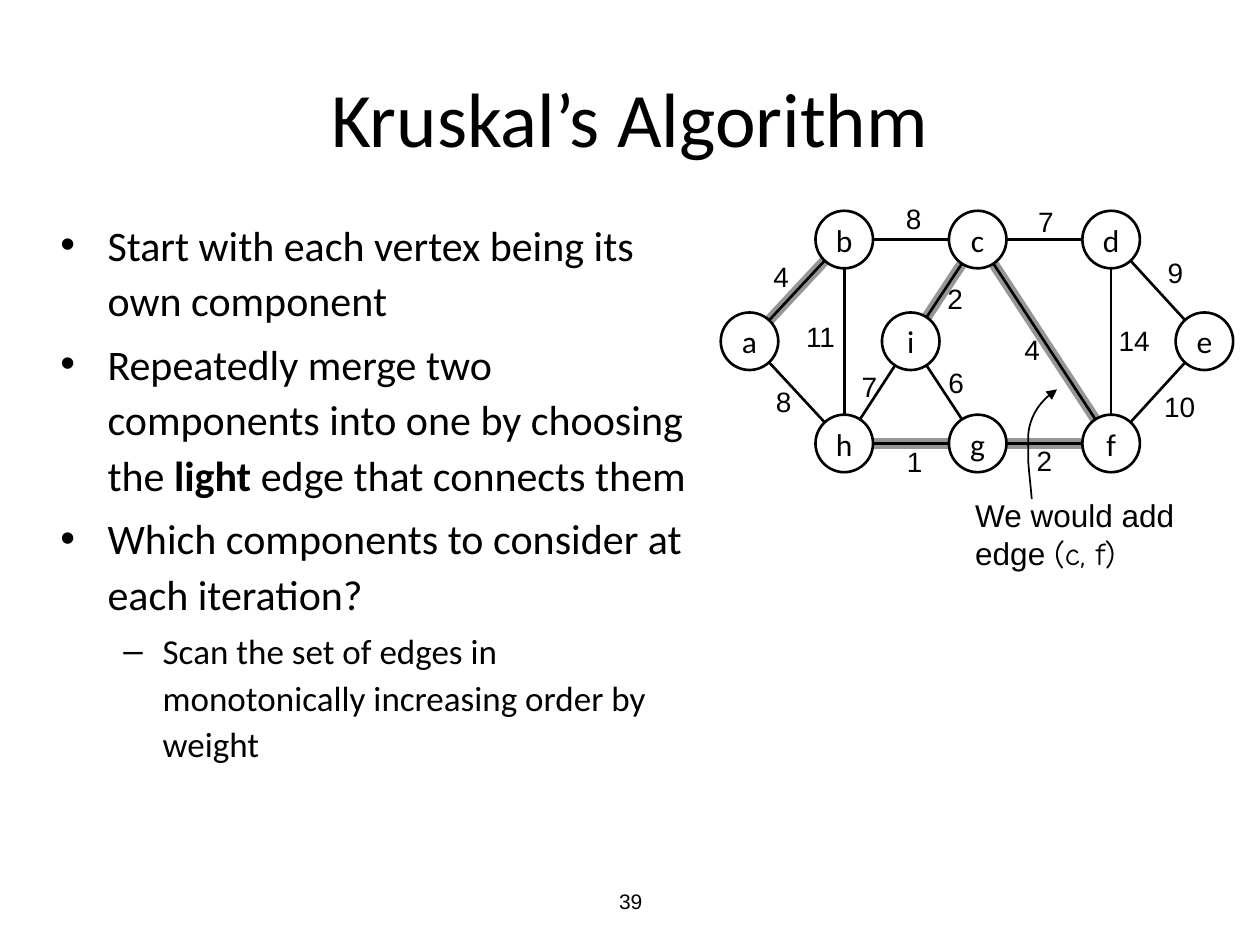
from math import hypot

from lxml.etree import SubElement
from pptx import Presentation
from pptx.dml.color import RGBColor
from pptx.enum.shapes import MSO_CONNECTOR, MSO_SHAPE
from pptx.enum.text import MSO_ANCHOR, PP_ALIGN
from pptx.oxml.ns import qn
from pptx.util import Cm, Pt

BLACK = RGBColor(0, 0, 0)
GREY = RGBColor(0x96, 0x96, 0x96)

# Vertex centres, in cm
RADIUS = 0.58
TOP, MIDDLE, BOTTOM = 4.83, 6.88, 8.94
VERTICES = {
    "a": (15.11, MIDDLE), "b": (17.02, TOP), "c": (19.71, TOP),
    "d": (22.4, TOP), "e": (24.28, MIDDLE), "h": (17.02, BOTTOM),
    "g": (19.71, BOTTOM), "f": (22.4, BOTTOM), "i": (18.36, MIDDLE),
}

# Edge: weight, left and top of its label in cm
EDGES = {
    "ab": ("4", 15.34, 5.11), "bc": ("8", 18.01, 3.94),
    "cd": ("7", 20.68, 3.99), "ah": ("8", 15.39, 7.62),
    "bh": ("11", 16, 6.32), "hg": ("1", 18.03, 8.84),
    "gf": ("2", 20.65, 8.81), "hi": ("7", 17.12, 7.32),
    "ci": ("2", 18.85, 5.56), "cf": ("4", 20.4, 6.58),
    "df": ("14", 22.3, 6.4), "de": ("9", 23.29, 5.03),
    "ef": ("10", 23.22, 7.72), "ig": ("6", 18.87, 7.24),
}
CHOSEN_EDGES = ("cf", "ab", "hg", "gf", "ci")

# Bézier pieces of the callout arrow, in cm
ARROW_CURVES = [
    ((20.8, 10.06), (20.78, 9.8), (20.75, 9.58), (20.73, 9.32)),
    ((20.73, 9.32), (20.73, 9.14), (20.73, 8.94), (20.73, 8.76)),
    ((20.73, 8.76), (20.75, 8.53), (20.85, 8.15), (21.31, 7.85)),
]

# Bullets: level, runs of (text, bold)
BULLETS = [
    (0, [("Start with each vertex being its own component", False)]),
    (0, [("Repeatedly merge two components into one by choosing the ", False),
         ("light", True), (" edge that connects them", False)]),
    (0, [("Which components to consider at each iteration?", False)]),
    (1, [("Scan the set of edges in monotonically increasing order by weight",
          False)]),
]
# Level: size, left margin in cm, hanging indent in cm, bullet sign
LEVELS = [(24, 0.95, 0.95, "•"), (20, 2.06, 0.79, "–")]


def add_run(paragraph, text, size, font, bold=False):
    run = paragraph.add_run()
    run.text = text
    run.font.size = Pt(size)
    run.font.name = font
    run.font.bold = bold
    run.font.color.rgb = BLACK


def add_text(slide, left, top, width, height, lines, size, font="Arial",
             align=PP_ALIGN.LEFT, anchor=MSO_ANCHOR.TOP, wrap=False):
    """Add a text box; each line is a list of runs (text, font)."""
    box = slide.shapes.add_textbox(Cm(left), Cm(top), Cm(width), Cm(height))
    frame = box.text_frame
    frame.word_wrap = wrap
    frame.vertical_anchor = anchor
    for number, line in enumerate(lines):
        paragraph = frame.add_paragraph() if number else frame.paragraphs[0]
        paragraph.alignment = align
        for text, run_font in line:
            add_run(paragraph, text, size, run_font or font)


def add_bullets(slide):
    box = slide.shapes.add_textbox(Cm(0.97), Cm(4.19), Cm(13.13), Cm(13.11))
    frame = box.text_frame
    frame.word_wrap = True
    for number, (level, runs) in enumerate(BULLETS):
        size, margin, hanging, sign = LEVELS[level]
        paragraph = frame.add_paragraph() if number else frame.paragraphs[0]
        properties = paragraph._p.get_or_add_pPr()
        properties.set("marL", str(Cm(margin)))
        properties.set("indent", str(-Cm(hanging)))
        SubElement(properties, qn("a:buFont")).set("typeface", "Arial")
        SubElement(properties, qn("a:buChar")).set("char", sign)
        paragraph.level = level
        paragraph.line_spacing = 1.1
        paragraph.space_before = Pt(0.2 * size if number else 0)
        for text, bold in runs:
            add_run(paragraph, text, size, "Calibri", bold)


def add_edge(slide, edge, color, width):
    """Join the rims of two vertices."""
    (x1, y1), (x2, y2) = (VERTICES[name] for name in edge)
    share = RADIUS / hypot(x2 - x1, y2 - y1)
    dx, dy = (x2 - x1) * share, (y2 - y1) * share
    line = slide.shapes.add_connector(
        MSO_CONNECTOR.STRAIGHT,
        Cm(x1 + dx), Cm(y1 + dy), Cm(x2 - dx), Cm(y2 - dy))
    line.line.color.rgb = color
    line.line.width = Pt(width)
    SubElement(line._element.spPr, qn("a:effectLst"))


def add_vertex(slide, name):
    x, y = VERTICES[name]
    circle = slide.shapes.add_shape(
        MSO_SHAPE.OVAL, Cm(x - RADIUS), Cm(y - RADIUS),
        Cm(2 * RADIUS), Cm(2 * RADIUS))
    circle.shadow.inherit = False
    circle.fill.background()
    circle.line.color.rgb = BLACK
    circle.line.width = Pt(1.5)
    frame = circle.text_frame
    frame.word_wrap = False
    frame.vertical_anchor = MSO_ANCHOR.MIDDLE
    frame.paragraphs[0].alignment = PP_ALIGN.CENTER
    add_run(frame.paragraphs[0], name, 18, "Calibri")


def curve_points(curve, steps=10):
    for step in range(1, steps + 1):
        t = step / steps
        factors = ((1 - t) ** 3, 3 * t * (1 - t) ** 2,
                   3 * t ** 2 * (1 - t), t ** 3)
        yield tuple(Cm(sum(f * p[axis] for f, p in zip(factors, curve)))
                    for axis in (0, 1))


def add_callout_arrow(slide):
    start_x, start_y = ARROW_CURVES[0][0]
    builder = slide.shapes.build_freeform(Cm(start_x), Cm(start_y))
    for curve in ARROW_CURVES:
        builder.add_line_segments(list(curve_points(curve)), close=False)
    arrow = builder.convert_to_shape()
    arrow.shadow.inherit = False
    arrow.fill.background()
    arrow.line.color.rgb = BLACK
    arrow.line.width = Pt(1)
    SubElement(arrow.line._get_or_add_ln(), qn("a:tailEnd")).set(
        "type", "triangle")


def add_graph(slide):
    for edge in CHOSEN_EDGES:
        add_edge(slide, edge, GREY, 6)
    for name in VERTICES:
        add_vertex(slide, name)
    for edge, (weight, left, top) in EDGES.items():
        add_edge(slide, edge, BLACK, 1.5)
        width = 0.5 + 0.32 * len(weight)
        add_text(slide, left, top, width, 0.94, [[(weight, None)]], 16)


def main():
    presentation = Presentation()
    presentation.slide_width = Cm(25.4)
    presentation.slide_height = Cm(19.05)
    slide = presentation.slides.add_slide(presentation.slide_layouts[6])

    # Title and bullets
    add_text(slide, 1.27, 0.76, 22.86, 3.18,
             [[("Kruskal’s Algorithm", None)]], 44, "Calibri",
             PP_ALIGN.CENTER, MSO_ANCHOR.MIDDLE, True)
    add_bullets(slide)

    # Graph with its callout
    add_graph(slide)
    add_callout_arrow(slide)
    add_text(slide, 19.41, 9.88, 4.52, 1.78,
             [[("We would add", None)],
              [("edge ", None), ("(c, f)", "Comic Neue")]], 18)

    # Page number
    add_text(slide, 8.69, 17.65, 8.05, 1.02, [[("39", None)]], 12,
             align=PP_ALIGN.CENTER, anchor=MSO_ANCHOR.MIDDLE, wrap=True)

    presentation.save("out.pptx")


if __name__ == "__main__":
    main()
